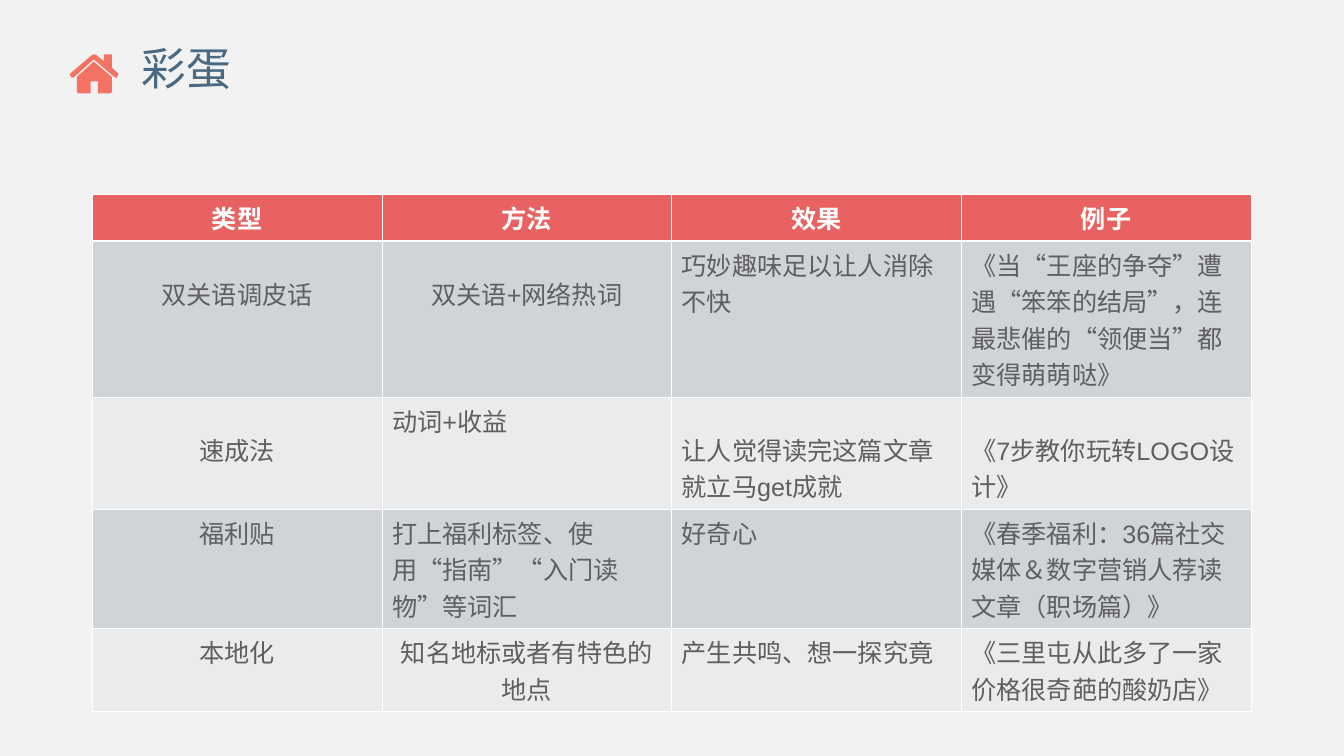
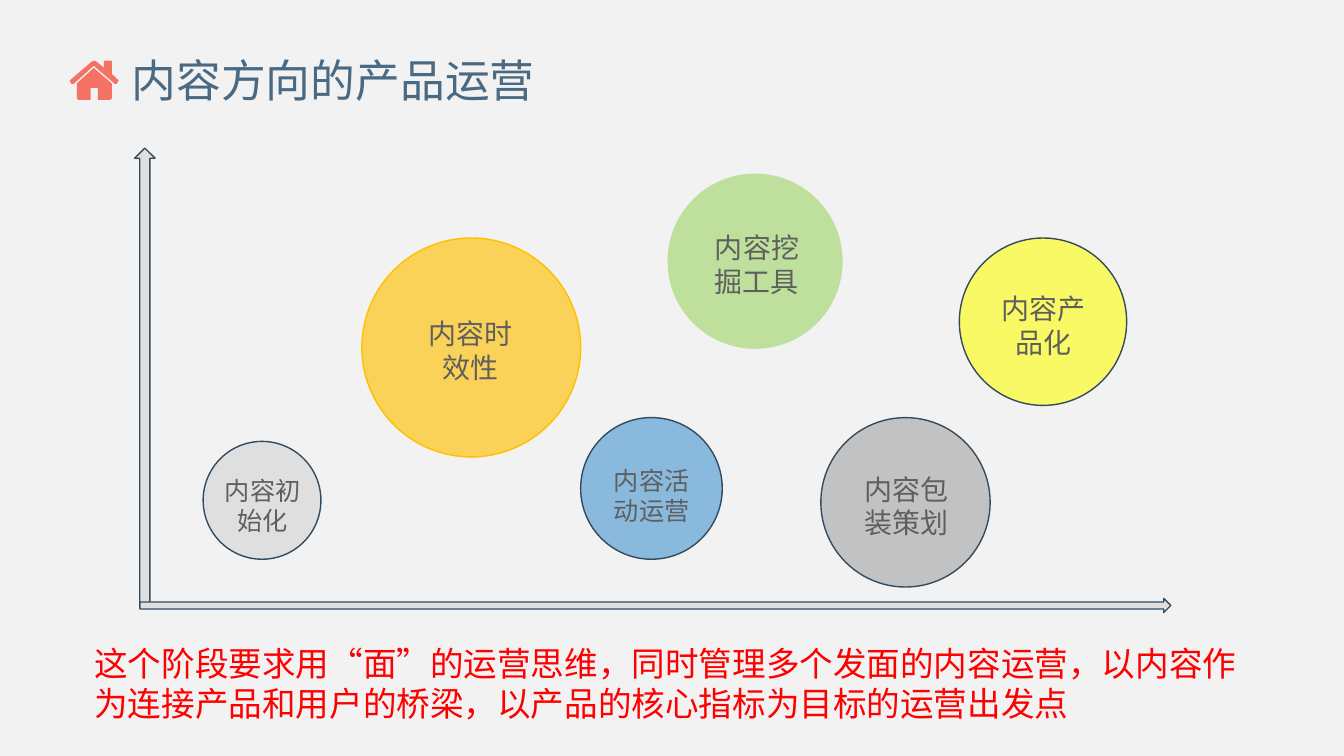
from lxml.etree import SubElement
from pptx import Presentation
from pptx.dml.color import RGBColor as RGB
from pptx.enum.shapes import MSO_SHAPE as SHAPE
from pptx.enum.text import MSO_ANCHOR as ANCHOR, PP_ALIGN as ALIGN
from pptx.oxml.ns import qn
from pptx.util import Pt

PAPER = RGB(0xF2, 0xF2, 0xF2)
WHITE = RGB(0xFF, 0xFF, 0xFF)
SLATE = RGB(0x4A, 0x69, 0x82)
NAVY = RGB(0x34, 0x4B, 0x5E)
CORAL = RGB(0xF4, 0x72, 0x64)
ROSE = RGB(0xE8, 0x62, 0x62)
INK = RGB(0x5F, 0x5F, 0x5F)
RED = RGB(0xFF, 0x00, 0x00)
PALE = RGB(0xDF, 0xDF, 0xDF)
GOLD = RGB(0xFF, 0xC0, 0x00)
GREEN = RGB(0x92, 0xD0, 0x50)
BLUE = RGB(0x00, 0x70, 0xC0)
GREY = RGB(0xB8, 0xB8, 0xB8)
YELLOW = RGB(0xFF, 0xFF, 0x00)
BANDS = [RGB(0xE9, 0xEB, 0xED), RGB(0xD0, 0xD4, 0xD8)]

LATIN, HAN = "Arial", "Noto Sans CJK SC"

# House icon, in tenths of a point
ROOF = [(0, 142), (158, 7), (176, 0), (194, 7), (245, 50), (245, 4), (250, 0),
        (297, 0), (302, 4), (302, 94), (350, 140), (338, 166), (324, 166),
        (173, 36), (29, 166), (14, 166)]
WALLS = [(173, 52), (302, 162), (302, 270), (290, 280), (202, 280), (202, 194),
         (151, 194), (151, 280), (65, 280), (52, 270), (52, 162)]


def write(para, text, size, color, face=LATIN, bold=False):
    """Add one run with the same Han font everywhere."""
    run = para.add_run()
    run.text = text
    font = run.font
    font.size, font.bold, font.name = Pt(size), bold, face
    font.color.rgb = color
    SubElement(run._r.get_or_add_rPr(), qn("a:ea"), typeface=HAN)


def paint(shape, fill, line=None, alpha=100):
    shape.shadow.inherit = False
    shape.fill.solid()
    shape.fill.fore_color.rgb = fill
    if alpha < 100:
        tint = shape._element.spPr.find(".//" + qn("a:srgbClr"))
        SubElement(tint, qn("a:alpha"), val=str(alpha * 1000))
    if line is None:
        shape.line.fill.background()
    else:
        shape.line.color.rgb = line
        shape.line.width = Pt(1)


deck = Presentation()
deck.slide_width, deck.slide_height = Pt(960.48), Pt(540)
ground = deck.slide_master.background.fill
ground.solid()
ground.fore_color.rgb = PAPER

# Titles and house icons: text, box, left margin, icon top
HEADS = [
    ("彩蛋", (23, -24, 900, 150), 78, 38.8),
    ("内容方向的产品运营", (66, 31, 828, 57), 28, 43.4),
]
slides = []
for text, box, inset, top in HEADS:
    slide = deck.slides.add_slide(deck.slide_layouts[5])
    slides.append(slide)
    title = slide.shapes.title
    title.left, title.top, title.width, title.height = map(Pt, box)
    frame = title.text_frame
    frame.vertical_anchor = ANCHOR.MIDDLE
    frame.margin_left = Pt(inset)
    para = frame.paragraphs[0]
    para.alignment = ALIGN.LEFT
    para.line_spacing = 0.9
    write(para, text, 32, SLATE)

    pen = slide.shapes.build_freeform(*ROOF[0], scale=1270)
    pen.add_line_segments(ROOF[1:])
    pen.move_to(*WALLS[0])
    pen.add_line_segments(WALLS[1:])
    paint(pen.convert_to_shape(Pt(49.7), Pt(top)), CORAL)

# Slide 1: table
ROWS = [
    ["类型", "方法", "效果", "例子"],
    ["双关语调皮话", "双关语+网络热词", "巧妙趣味足以让人消除不快",
     "《当“王座的争夺”遭遇“笨笨的结局”，连最悲催的“领便当”都变得萌萌哒》"],
    ["速成法", "动词+收益", "让人觉得读完这篇文章就立马get成就",
     "《7步教你玩转LOGO设计》"],
    ["福利贴", "打上福利标签、使用“指南”“入门读物”等词汇", "好奇心",
     "《春季福利：36篇社交媒体＆数字营销人荐读文章（职场篇）》"],
    ["本地化", "知名地标或者有特色的地点", "产生共鸣、想一探究竟",
     "《三里屯从此多了一家价格很奇葩的酸奶店》"],
]
HIGH = [29, 94, 72, 72, 50]
MIDDLE = {(1, 1), (4, 1)}
LOWER = {(1, 0), (1, 1), (2, 0), (2, 2), (2, 3)}

table = slides[0].shapes.add_table(
    5, 4, Pt(66), Pt(139), Pt(828), Pt(sum(HIGH))).table
for col in table.columns:
    col.width = Pt(207)
for r, words in enumerate(ROWS):
    table.rows[r].height = Pt(HIGH[r])
    for c, text in enumerate(words):
        cell = table.cell(r, c)
        for side in "LRTB":
            thick = (r, side) in {(0, "B"), (1, "T")}
            edge = SubElement(cell._tc.get_or_add_tcPr(), qn("a:ln" + side),
                              w=str(Pt(1.5 if thick else 0.45)))
            tint = SubElement(edge, qn("a:solidFill"))
            SubElement(tint, qn("a:srgbClr"), val=str(WHITE))
        cell.fill.solid()
        cell.fill.fore_color.rgb = BANDS[r % 2] if r else ROSE
        if (r, c) in LOWER:
            cell.margin_top = Pt(24)
        para = cell.text_frame.paragraphs[0]
        if r == 0 or c == 0 or (r, c) in MIDDLE:
            para.alignment = ALIGN.CENTER
        write(para, text, 18, INK if r else WHITE, bold=r == 0)

# Slide 2: axes, bubbles and labels
shapes = slides[1].shapes
AXES = [(SHAPE.UP_ARROW, (96.2, 105.8, 14.6, 328.3)),
        (SHAPE.RIGHT_ARROW, (100, 427.5, 736.7, 10))]
for kind, box in AXES:
    paint(shapes.add_shape(kind, *map(Pt, box)), PALE, NAVY)

# Left, top, diameter, fill, line, opacity
BUBBLES = [
    (145.2, 315.3, 84.2, PALE, NAVY, 100),
    (258.6, 170, 156.4, GOLD, GOLD, 64),
    (477, 124, 125.2, GREEN, None, 52),
    (415, 298.3, 101.2, BLUE, NAVY, 43),
    (586.6, 298.3, 121, GREY, NAVY, 81),
    (685.6, 170, 119.6, YELLOW, NAVY, 58),
]
for left, top, size, fill, line, alpha in BUBBLES:
    kind = SHAPE.FLOWCHART_CONNECTOR if fill == BLUE else SHAPE.OVAL
    disc = shapes.add_shape(kind, Pt(left), Pt(top), Pt(size), Pt(size))
    paint(disc, fill, line, alpha)

# Text, box, size, colour, font, alignment
MID = ALIGN.CENTER
LABELS = [
    ("内容初始化", (147.4, 333.4, 80.6, 50.4), 18, INK, LATIN, MID),
    ("内容时效性", (291.4, 220.3, 90, 55.4), 20, INK, HAN, MID),
    ("内容挖掘工具", (496, 159, 90, 55.4), 20, INK, HAN, MID),
    ("内容活动运营", (425.4, 326.2, 80.6, 50.4), 18, INK, LATIN, MID),
    ("内容包装策划", (602.6, 331.2, 90, 55.4), 20, INK, HAN, MID),
    ("内容产品化", (700.4, 202.3, 90, 55.4), 20, INK, HAN, MID),
    ("这个阶段要求用“面”的运营思维，同时管理多个发面的内容运营，"
     "以内容作为连接产品和用户的桥梁，以产品的核心指标为目标的运营出发点",
     (60.4, 453, 833, 64.8), 24, RED, HAN, ALIGN.LEFT),
]
for text, box, size, color, face, align in LABELS:
    frame = shapes.add_textbox(*map(Pt, box)).text_frame
    frame.word_wrap = True
    frame.margin_top = Pt(6)
    para = frame.paragraphs[0]
    para.alignment = align
    para.line_spacing = Pt(round(size * 1.2, 1))
    write(para, text, size, color, face)

deck.save("out.pptx")
